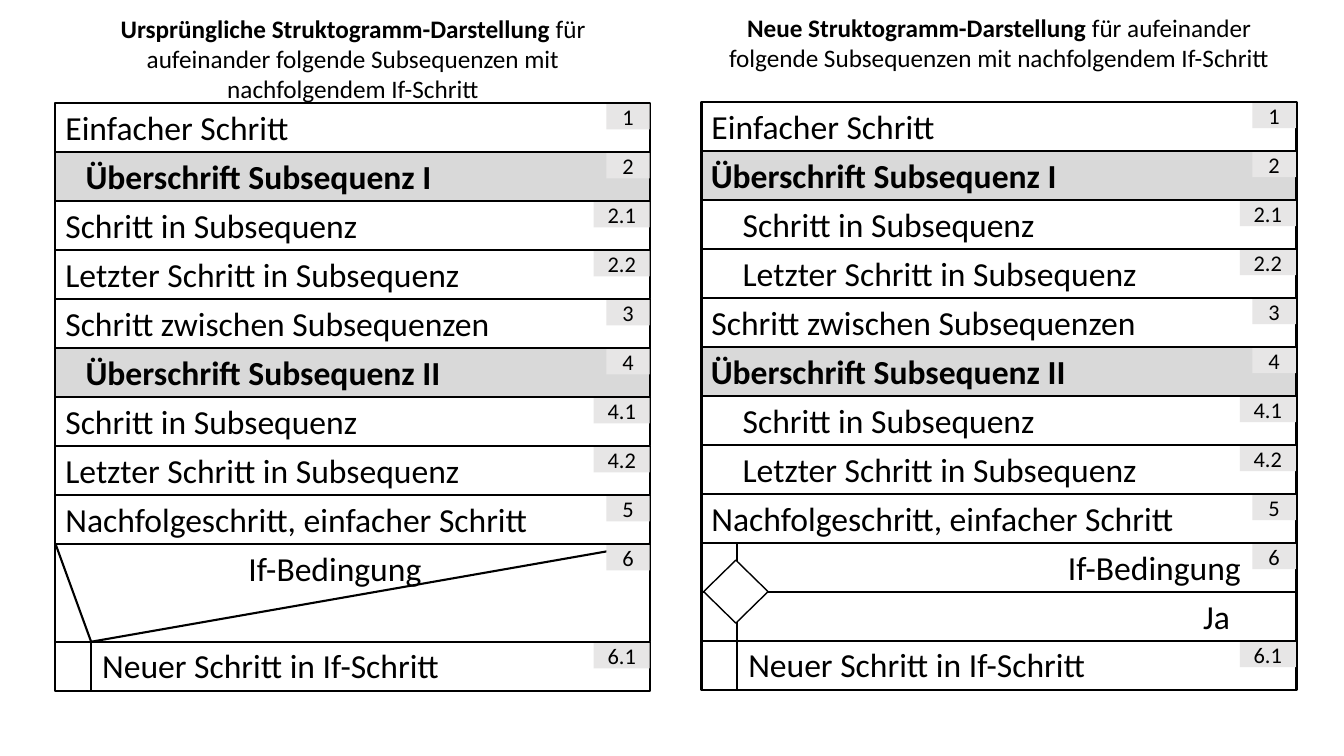
from dataclasses import dataclass

from lxml import etree
from pptx import Presentation
from pptx.dml.color import RGBColor
from pptx.enum import shapes, text
from pptx.oxml import ns
from pptx.util import Pt


@dataclass(frozen=True)
class Theme:
    font: str = "Calibri"
    ink: str = "000000"
    paper: str = "FFFFFF"
    heading_fill: str = "D9D9D9"
    tag_fill: str = "E7E6E6"
    caption_size: float = 18
    step_size: float = 24
    tag_size: float = 16
    line_width: float = 1.5
    thin_line: float = 1


@dataclass(frozen=True)
class Chart:
    """Place of one structure chart and the indents of its steps."""
    left: float
    top: float
    heading_indent: float
    step_indent: float

    def row_top(self, row):
        return self.top + row * ROW_HEIGHT


THEME = Theme()
CHART_WIDTH = 425
ROW_HEIGHT = 35
TEXT_HEIGHT = 36
BRANCH_OFFSET = 25.5
IF_ROW = 9
LAST_ROW = 11
CAPTION_RISE = 67.6
CAPTION_REST = "für aufeinander folgende Subsequenzen mit nachfolgendem If-Schritt"

ORIGINAL = Chart(left=39.6, top=73.4, heading_indent=14.4, step_indent=0)
REVISED = Chart(left=501.1, top=72.6, heading_indent=-0.5, step_indent=22.3)

STEPS = [
    ("1", "Einfacher Schritt"),
    ("2", "Überschrift Subsequenz I"),
    ("2.1", "Schritt in Subsequenz"),
    ("2.2", "Letzter Schritt in Subsequenz"),
    ("3", "Schritt zwischen Subsequenzen"),
    ("4", "Überschrift Subsequenz II"),
    ("4.1", "Schritt in Subsequenz"),
    ("4.2", "Letzter Schritt in Subsequenz"),
    ("5", "Nachfolgeschritt, einfacher Schritt"),
]


def color(value):
    return RGBColor.from_string(value)


def write(frame, *runs, size=THEME.step_size, align=text.PP_ALIGN.LEFT,
          anchor=text.MSO_ANCHOR.TOP):
    """Fill a text frame with (wording, bold) runs in one paragraph."""
    frame.word_wrap = True
    frame.vertical_anchor = anchor
    paragraph = frame.paragraphs[0]
    paragraph.alignment = align
    for wording, bold in runs:
        run = paragraph.add_run()
        run.text = wording
        run.font.name = THEME.font
        run.font.size = Pt(size)
        run.font.bold = bold
        run.font.color.rgb = color(THEME.ink)


def add_text(slide, left, top, width, *runs, height=TEXT_HEIGHT, **style):
    box = slide.shapes.add_textbox(Pt(left), Pt(top), Pt(width), Pt(height))
    write(box.text_frame, *runs, **style)


def add_block(slide, left, top, width, height, fill=THEME.paper,
              line_width=THEME.line_width, kind=shapes.MSO_SHAPE.RECTANGLE):
    block = slide.shapes.add_shape(kind, Pt(left), Pt(top), Pt(width), Pt(height))
    block.shadow.inherit = False
    block.fill.solid()
    block.fill.fore_color.rgb = color(fill)
    if line_width:
        block.line.color.rgb = color(THEME.ink)
        block.line.width = Pt(line_width)
    else:
        block.line.fill.background()
    return block


def add_row(slide, chart, row, span=1, fill=THEME.paper):
    add_block(slide, chart.left, chart.row_top(row), CHART_WIDTH,
              span * ROW_HEIGHT, fill)


def add_line(slide, start_x, start_y, end_x, end_y):
    line = slide.shapes.add_connector(
        shapes.MSO_CONNECTOR.STRAIGHT, Pt(start_x), Pt(start_y), Pt(end_x), Pt(end_y))
    line.line.color.rgb = color(THEME.ink)
    line.line.width = Pt(THEME.line_width)
    properties = line._element.find(ns.qn("p:spPr"))
    etree.SubElement(properties, ns.qn("a:effectLst"))


def add_tag(slide, chart, row, number):
    """Number tag in the upper right corner of a row."""
    width = 40 if "." in number else 31
    tag = add_block(slide, chart.left + CHART_WIDTH - width - 0.5,
                    chart.row_top(row) + 1, width, 18, THEME.tag_fill, line_width=0)
    frame = tag.text_frame
    frame.margin_left = frame.margin_right = Pt(2.8)
    write(frame, (number, False), size=THEME.tag_size,
          align=text.PP_ALIGN.CENTER, anchor=text.MSO_ANCHOR.MIDDLE)


def add_caption(slide, chart, name, height):
    add_text(slide, chart.left, chart.top - CAPTION_RISE, CHART_WIDTH,
             (name + " ", True), (CAPTION_REST, False), height=height,
             size=THEME.caption_size, align=text.PP_ALIGN.CENTER)


def add_steps(slide, chart):
    for row, (number, wording) in enumerate(STEPS):
        heading = wording.startswith("Überschrift")
        indent = 0
        if heading:
            indent = chart.heading_indent
        elif "." in number:
            indent = chart.step_indent
        add_row(slide, chart, row, fill=THEME.heading_fill if heading else THEME.paper)
        add_text(slide, chart.left + indent, chart.row_top(row) - 0.5, 370,
                 (wording, heading))
        add_tag(slide, chart, row, number)


def add_condition(slide, chart, row, wording, right_edge):
    add_text(slide, chart.left + right_edge - 224, chart.row_top(row) - 0.8, 224,
             (wording, False), align=text.PP_ALIGN.RIGHT)


def add_if_end(slide, chart):
    """Step inside the branch and the tags of the if block."""
    add_text(slide, chart.left + 26.3, chart.row_top(LAST_ROW) - 1, 316,
             ("Neuer Schritt in If-Schritt", False))
    add_tag(slide, chart, IF_ROW, "6")
    add_tag(slide, chart, LAST_ROW, "6.1")


def add_triangle_if(slide, chart):
    add_row(slide, chart, IF_ROW, span=2)
    add_row(slide, chart, LAST_ROW)
    top, tip, bottom = (chart.row_top(row) for row in (IF_ROW, LAST_ROW, LAST_ROW + 1))
    branch = chart.left + BRANCH_OFFSET
    add_line(slide, branch, tip, branch, bottom)
    add_line(slide, chart.left, top, branch, tip)
    add_line(slide, branch, tip, chart.left + CHART_WIDTH, top)
    add_condition(slide, chart, IF_ROW, "If-Bedingung", 268.6)
    add_if_end(slide, chart)


def add_diamond_if(slide, chart):
    for row in range(IF_ROW, LAST_ROW + 1):
        add_row(slide, chart, row)
    top = chart.row_top(IF_ROW)
    branch = chart.left + BRANCH_OFFSET
    add_line(slide, branch, top, branch, chart.row_top(LAST_ROW + 1))
    add_block(slide, branch - 24, top + 12.5, 46, 45,
              line_width=THEME.thin_line, kind=shapes.MSO_SHAPE.DIAMOND)
    add_condition(slide, chart, IF_ROW, "If-Bedingung", 392.4)
    add_condition(slide, chart, IF_ROW + 1, "Ja", 384.5)
    add_if_end(slide, chart)


def main():
    presentation = Presentation()
    presentation.slide_width = Pt(960)
    presentation.slide_height = Pt(540)
    slide = presentation.slides.add_slide(presentation.slide_layouts[6])

    # Left: chart with the triangular if block
    add_caption(slide, ORIGINAL, "Ursprüngliche Struktogramm-Darstellung", 72.7)
    add_steps(slide, ORIGINAL)
    add_triangle_if(slide, ORIGINAL)

    # Right: chart with the diamond if block
    add_caption(slide, REVISED, "Neue Struktogramm-Darstellung", 51)
    add_steps(slide, REVISED)
    add_diamond_if(slide, REVISED)

    presentation.save("out.pptx")


main()
